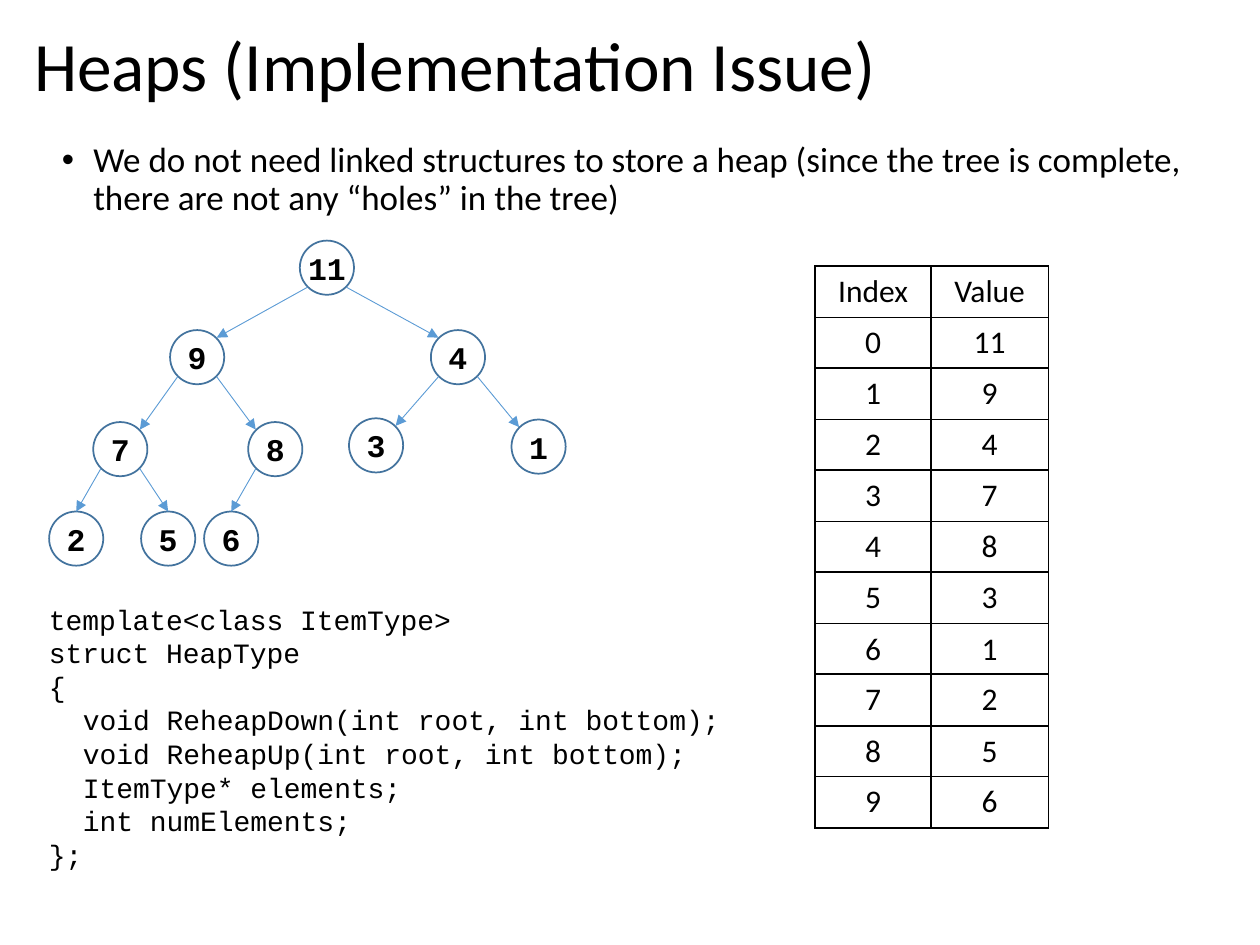
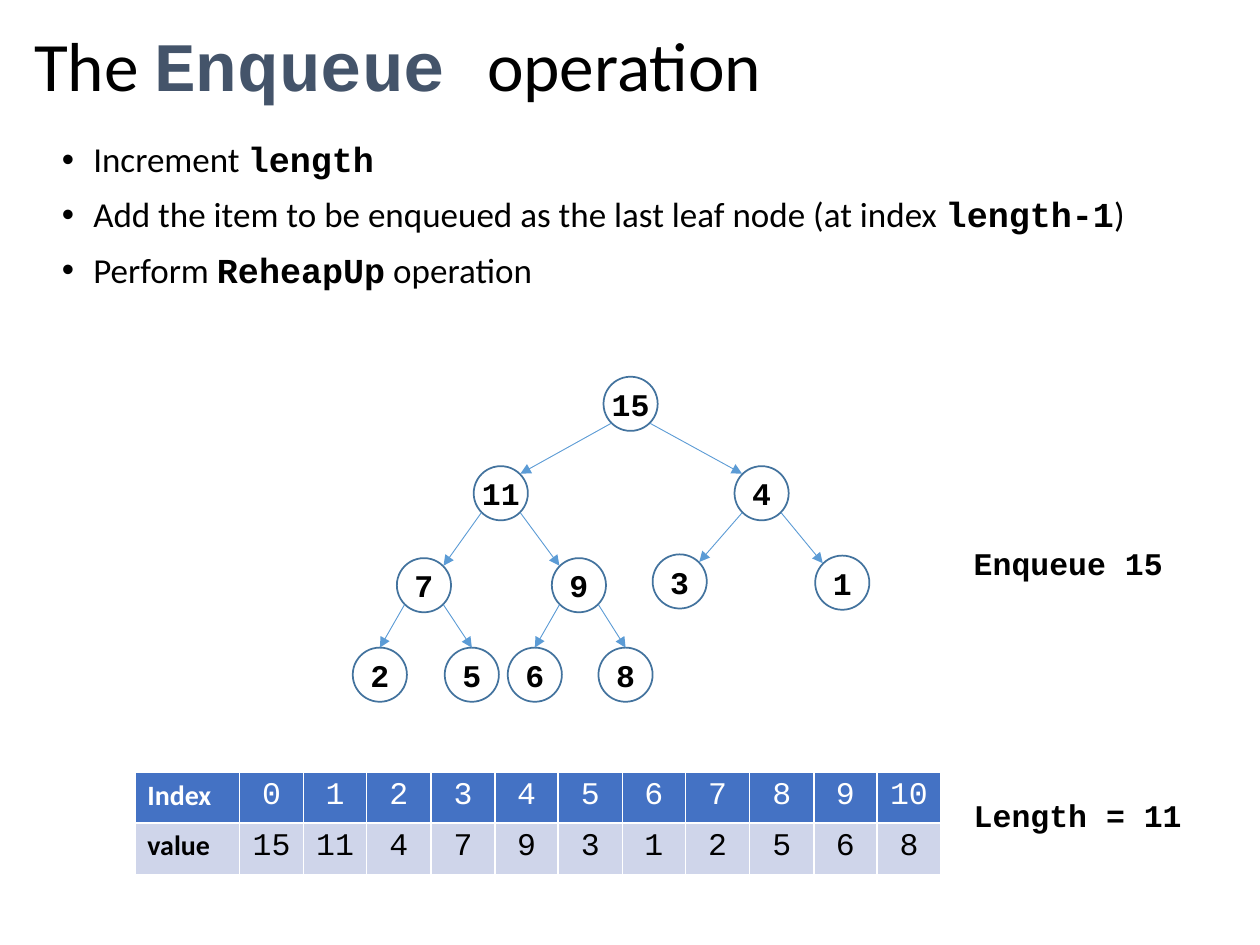
from dataclasses import dataclass, replace
from math import sqrt

from lxml.etree import SubElement
from pptx import Presentation
from pptx.dml.color import RGBColor
from pptx.enum.shapes import MSO_CONNECTOR, MSO_SHAPE
from pptx.enum.text import MSO_ANCHOR, MSO_AUTO_SIZE, PP_ALIGN
from pptx.oxml.ns import qn
from pptx.util import Pt

EMU_PER_PX = 9144


@dataclass(frozen=True)
class Type:
    font: str
    size: float
    color: str = "000000"
    bold: bool = False


@dataclass(frozen=True)
class Theme:
    black: str = "000000"
    white: str = "FFFFFF"
    node_line: str = "43739E"
    arrow: str = "5B9BD5"
    header_fill: str = "4472C4"
    value_fill: str = "CFD5EA"
    title: Type = Type("Calibri", 39.6)
    title_code: Type = Type("Courier New", 39.6, "44546A", True)
    body: Type = Type("Calibri", 20)
    body_code: Type = Type("Courier New", 20, bold=True)
    listing: Type = Type("Courier New", 16)
    node: Type = Type("Courier New", 18, bold=True)
    grid: Type = Type("Calibri", 18)
    array: Type = Type("Courier New", 18)
    array_head: Type = Type("Calibri", 16, bold=True)


NODE_SIZE = 43
NODE_PLACES = [
    (238, 191),
    (135, 262), (342, 262),
    (74, 335), (197, 335), (277, 332), (406, 333),
    (39, 406), (112, 406), (162, 406), (234, 406),
]
FIRST_BOTTOM_NODE = 7


def px(length):
    return round(length * EMU_PER_PX)


def split(total, count):
    edges = [round(total * step / count) for step in range(count + 1)]
    return [end - start for start, end in zip(edges, edges[1:])]


class Deck:
    def __init__(self, theme):
        self.theme = theme
        self.presentation = Presentation()
        self.presentation.slide_width = px(1000)
        self.presentation.slide_height = px(750)
        self.slide = None

    def start_slide(self):
        layout = self.presentation.slide_layouts[1]
        self.slide = self.presentation.slides.add_slide(layout)

    def add_runs(self, paragraph, runs, align=PP_ALIGN.LEFT):
        paragraph.alignment = align
        for text, style in runs:
            run = paragraph.add_run()
            run.text = text
            run.font.name = style.font
            run.font.size = Pt(style.size)
            run.font.bold = style.bold
            run.font.color.rgb = RGBColor.from_string(style.color)

    def paragraphs(self, frame, count):
        return [frame.paragraphs[0]] + [frame.add_paragraph() for _ in range(count - 1)]

    def place(self, holder, left, top, width, height):
        holder.left, holder.top = px(left), px(top)
        holder.width, holder.height = px(width), px(height)
        holder.text_frame.auto_size = MSO_AUTO_SIZE.NONE
        holder.text_frame.word_wrap = True
        return holder.text_frame

    def title(self, runs):
        frame = self.place(self.slide.shapes.title, 17, 18, 962, 74)
        frame.vertical_anchor = MSO_ANCHOR.MIDDLE
        frame.paragraphs[0].line_spacing = 0.9
        self.add_runs(frame.paragraphs[0], runs)

    def bullets(self, items, height):
        frame = self.place(self.slide.placeholders[1], 39, 108, 940, height)
        for paragraph, runs in zip(self.paragraphs(frame, len(items)), items):
            self.add_runs(paragraph, runs)
            paragraph.line_spacing = 0.9
            paragraph.space_before = Pt(10)
            properties = paragraph._p.get_or_add_pPr()
            properties.set("marL", str(px(25)))
            properties.set("indent", str(px(-25)))
            SubElement(properties, qn("a:buChar"), char="•")

    def text(self, lines, style, left, top, width, height):
        box = self.slide.shapes.add_textbox(px(left), px(top), px(width), px(height))
        frame = box.text_frame
        frame.word_wrap = True
        frame.auto_size = MSO_AUTO_SIZE.SHAPE_TO_FIT_TEXT
        for paragraph, (line, margin) in zip(self.paragraphs(frame, len(lines)), lines):
            self.add_runs(paragraph, [(line, style)])
            if margin:
                paragraph._p.get_or_add_pPr().set("marL", str(px(margin)))

    def node(self, group, value, left, top):
        circle = group.shapes.add_shape(
            MSO_SHAPE.OVAL, px(left), px(top), px(NODE_SIZE), px(NODE_SIZE))
        circle.shadow.inherit = False
        circle.fill.background()
        circle.line.color.rgb = RGBColor.from_string(self.theme.node_line)
        circle.line.width = Pt(1)
        frame = circle.text_frame
        frame.margin_left = frame.margin_right = frame.margin_top = frame.margin_bottom = 0
        frame.vertical_anchor = MSO_ANCHOR.MIDDLE
        frame.word_wrap = False
        self.add_runs(frame.paragraphs[0], [(str(value), self.theme.node)], PP_ALIGN.CENTER)

    def arrow(self, group, start, end):
        edge = group.shapes.add_connector(
            MSO_CONNECTOR.STRAIGHT, *(px(length) for length in (*start, *end)))
        edge.line.color.rgb = RGBColor.from_string(self.theme.arrow)
        edge.line.width = Pt(0.5)
        properties = edge._element.spPr
        SubElement(properties.find(qn("a:ln")), qn("a:tailEnd"), type="triangle")
        SubElement(properties, qn("a:effectLst"))

    def heap(self, values, shift_x=0, shift_y=0):
        group = self.slide.shapes.add_group_shape()
        places = [(x + shift_x, y + shift_y) for x, y in NODE_PLACES]
        near = round(NODE_SIZE * (1 - sqrt(0.5)) / 2)
        far = NODE_SIZE - near
        for index, value in enumerate(values):
            left, top = places[index]
            self.node(group, value, left, top)
            if index == 0:
                continue
            parent_left, parent_top = places[(index - 1) // 2]
            is_left_child = index % 2 == 1
            start = (parent_left + (near if is_left_child else far), parent_top + far)
            if index >= FIRST_BOTTOM_NODE:
                end = (left + NODE_SIZE / 2, top)
            else:
                end = (left + (far if is_left_child else near), top + near)
            self.arrow(group, start, end)

    def cell_border(self, cell, color):
        properties = cell._tc.get_or_add_tcPr()
        for side in ("lnL", "lnR", "lnT", "lnB"):
            line = SubElement(properties, qn(f"a:{side}"), w=str(Pt(1)))
            fill = SubElement(line, qn("a:solidFill"))
            SubElement(fill, qn("a:srgbClr"), val=color)

    def table(self, rows, left, top, widths, heights, border, style_of,
              anchor=MSO_ANCHOR.TOP):
        frame = self.slide.shapes.add_table(
            len(rows), len(widths), px(left), px(top), px(sum(widths)), px(sum(heights)))
        table = frame.table
        table.first_row = table.horz_banding = False
        for column, width in zip(table.columns, widths):
            column.width = px(width)
        for row, height in zip(table.rows, heights):
            row.height = px(height)
        for row_index, row in enumerate(rows):
            for column_index, value in enumerate(row):
                style, fill, align = style_of(row_index, column_index)
                cell = table.cell(row_index, column_index)
                cell.vertical_anchor = anchor
                self.cell_border(cell, border)
                if fill:
                    cell.fill.solid()
                    cell.fill.fore_color.rgb = RGBColor.from_string(fill)
                else:
                    cell.fill.background()
                self.add_runs(cell.text_frame.paragraphs[0], [(str(value), style)], align)


def implementation_slide(deck):
    theme = deck.theme
    heap_values = [11, 9, 4, 7, 8, 3, 1, 2, 5, 6]
    struct_lines = [
        ("template<class ItemType>", 0),
        ("struct HeapType", 0),
        ("{", 0),
        ("void ReheapDown(int root, int bottom);", 27),
        ("void ReheapUp(int root, int bottom);", 27),
        ("ItemType* elements;", 27),
        ("int numElements;", 27),
        ("};", 0),
    ]
    deck.start_slide()
    deck.title([("Heaps (Implementation Issue)", theme.title)])
    deck.bullets([[(
        "We do not need linked structures to store a heap (since the tree is complete, "
        "there are not any “holes” in the tree)", theme.body)]], 194)
    deck.heap(heap_values)
    deck.text(struct_lines, theme.listing, 29, 473, 568, 226)
    index_rows = [("Index", "Value"), *enumerate(heap_values)]
    deck.table(index_rows, 647, 211, split(185, 2), split(446, len(index_rows)),
               theme.black, lambda row, column: (theme.grid, None, PP_ALIGN.CENTER),
               MSO_ANCHOR.MIDDLE)


def enqueue_slide(deck):
    theme = deck.theme
    heap_values = [15, 11, 4, 7, 9, 3, 1, 2, 5, 6, 8]

    def array_style(row, column):
        style = theme.array if column else theme.array_head
        align = PP_ALIGN.CENTER if column else PP_ALIGN.LEFT
        if row == 0:
            return replace(style, color=theme.white), theme.header_fill, align
        return style, theme.value_fill, align

    deck.start_slide()
    deck.title([("The ", theme.title), ("Enqueue ", theme.title_code),
                ("operation", theme.title)])
    deck.bullets([
        [("Increment ", theme.body), ("length", theme.body_code)],
        [("Add the item to be enqueued as the last leaf node (at index ", theme.body),
         ("length-1", theme.body_code), (")", theme.body)],
        [("Perform ", theme.body), ("ReheapUp", theme.body_code),
         (" operation", theme.body)],
    ], 234)
    array_rows = [("Index", *range(len(heap_values))), ("value", *heap_values)]
    deck.table(array_rows, 107, 613, [83, *split(557, len(heap_values))], split(81, 2),
               theme.white, array_style)
    deck.heap(heap_values, 241, 108)
    for label, top in (("Enqueue 15", 427), ("Length = 11", 627)):
        deck.text([(label, 0)], theme.node, 763, top, 186, 40)


def main():
    deck = Deck(Theme())
    implementation_slide(deck)
    enqueue_slide(deck)
    deck.presentation.save("out.pptx")


if __name__ == "__main__":
    main()
